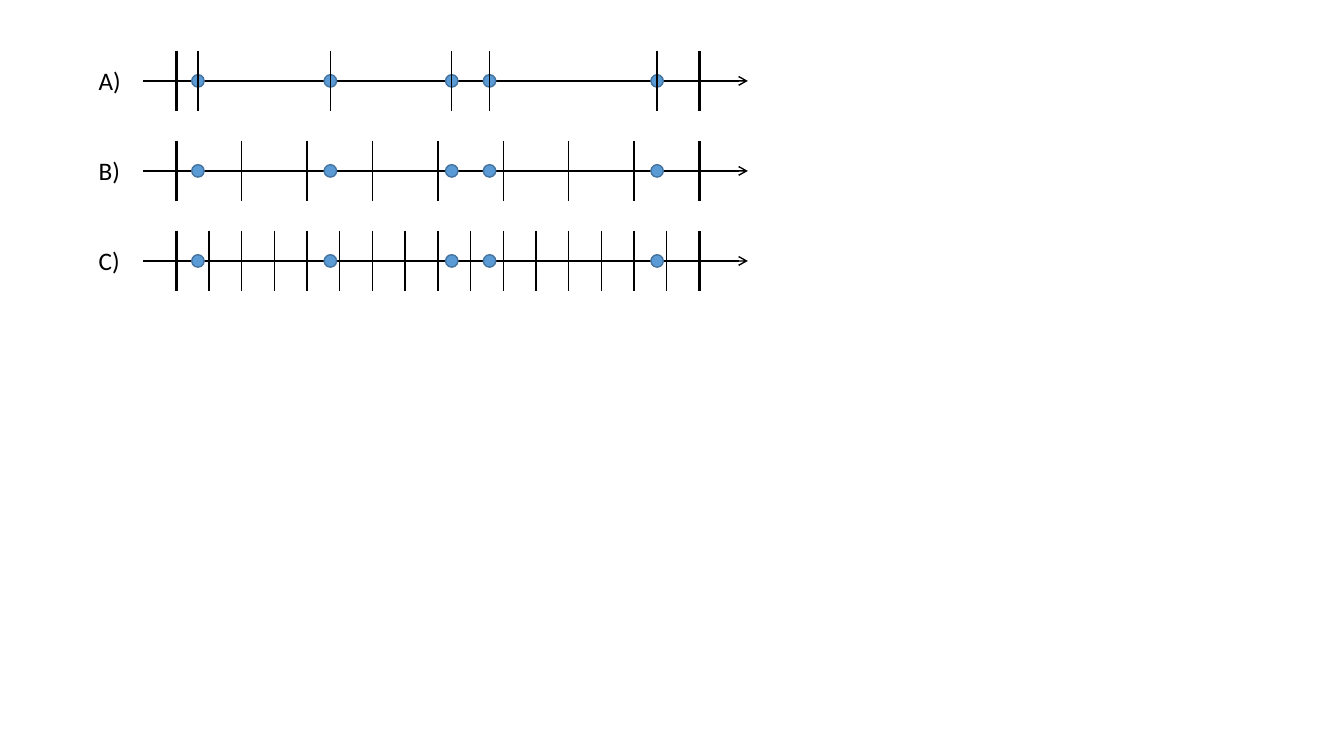
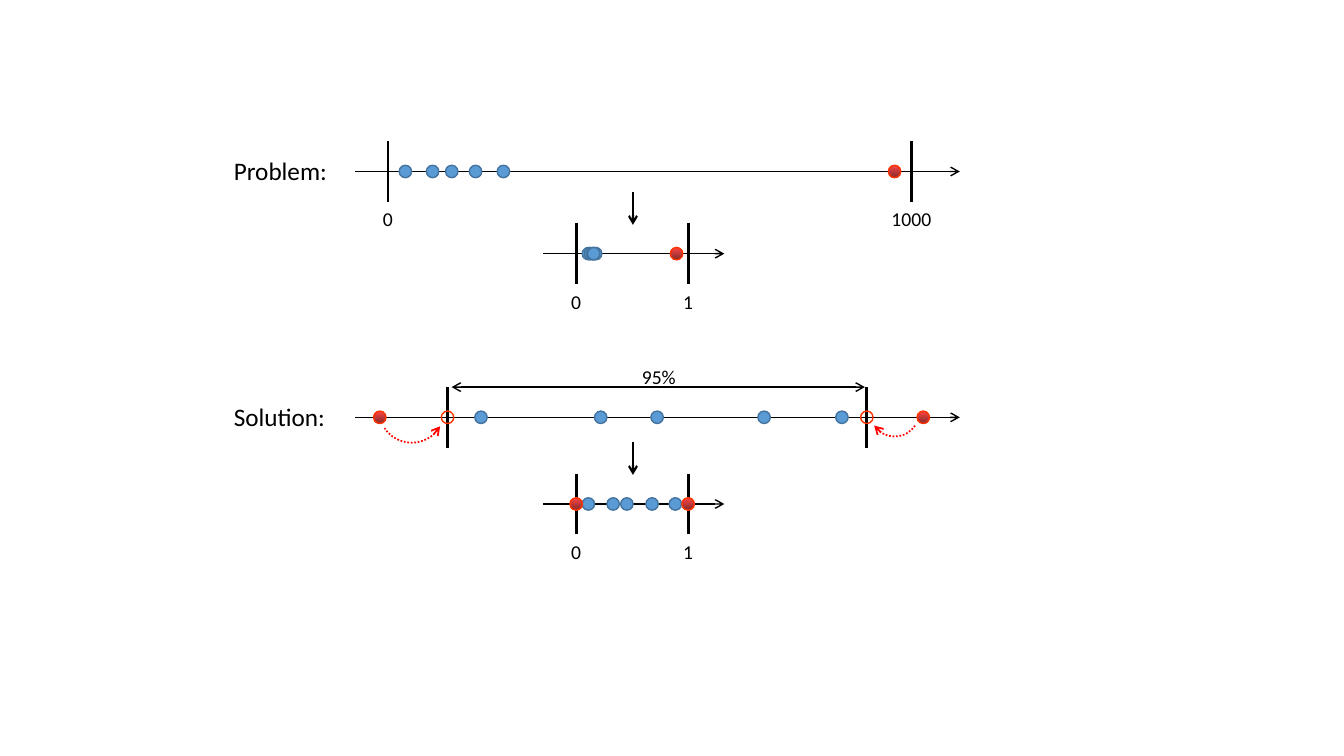
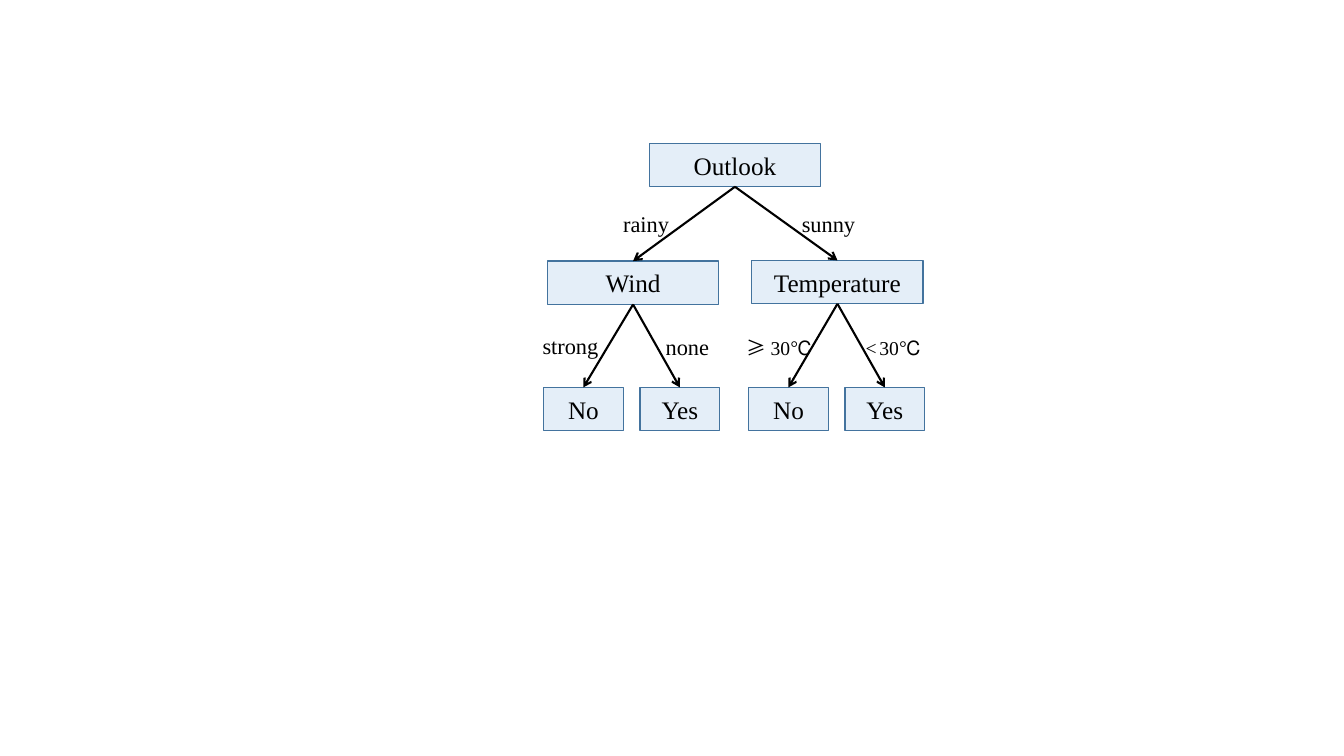
from dataclasses import dataclass
from typing import Optional

from lxml.etree import SubElement
from pptx import Presentation
from pptx.dml.color import RGBColor
from pptx.enum.dml import MSO_LINE
from pptx.enum.shapes import MSO_CONNECTOR, MSO_SHAPE
from pptx.enum.text import MSO_ANCHOR, MSO_AUTO_SIZE, PP_ALIGN
from pptx.oxml.ns import qn
from pptx.shapes.autoshape import Shape
from pptx.shapes.connector import Connector
from pptx.slide import Slide
from pptx.text.text import TextFrame
from pptx.util import Pt

# Shared colours, fonts and measures (all lengths in points)
BLACK = RGBColor(0x00, 0x00, 0x00)
BLUE = RGBColor(0x5B, 0x9B, 0xD5)
BLUE_EDGE = RGBColor(0x43, 0x73, 0x9E)
RED_TOP = RGBColor(0xFE, 0x44, 0x44)
RED_BOTTOM = RGBColor(0x83, 0x2B, 0x2B)
RED_EDGE = RGBColor(0xFF, 0x33, 0x00)
RED = RGBColor(0xFF, 0x00, 0x00)
SANS, SERIF = "Calibri", "Times New Roman"
DOT = 8.9
TICK_HALF = 21.7
NODE_HEIGHT = 31


@dataclass(frozen=True)
class Span:
    text: str
    size: float
    font: str


@dataclass(frozen=True)
class Axis:
    y: float
    start: float
    end: float
    bounds: tuple[float, float]
    dots: tuple[float, ...]
    ticks: tuple[float, ...] = ()
    outliers: tuple[float, ...] = ()
    hollow: tuple[float, ...] = ()
    bound_labels: tuple[str, ...] = ()


@dataclass(frozen=True)
class Arc:
    left: float
    top: float
    size: float
    angles: tuple[float, float]
    arrow: str


@dataclass(frozen=True)
class Node:
    text: str
    centre: float
    top: float
    width: float


@dataclass(frozen=True)
class Branch:
    parent: str
    child: str
    left: float
    top: float
    spans: tuple[Span, ...]


# Text
def write(frame: TextFrame, spans: tuple[Span, ...], align: PP_ALIGN) -> None:
    paragraph = frame.paragraphs[0]
    paragraph.alignment = align
    for span in spans:
        run = paragraph.add_run()
        run.text = span.text
        run.font.size = Pt(span.size)
        run.font.color.rgb = BLACK
        run.font.name = span.font
        SubElement(run.font._element, qn("a:ea")).set("typeface", span.font)


def add_text(page: Slide, left: float, top: float, width: float,
             spans: tuple[Span, ...], align: PP_ALIGN = PP_ALIGN.LEFT) -> None:
    height = 7.2 + 1.2 * max(span.size for span in spans)
    box = page.shapes.add_textbox(Pt(left), Pt(top), Pt(width), Pt(height))
    box.text_frame.word_wrap = True
    box.text_frame.auto_size = MSO_AUTO_SIZE.SHAPE_TO_FIT_TEXT
    write(box.text_frame, spans, align)


# Lines and shapes
def add_arrowheads(shape: Shape | Connector, *ends: str) -> None:
    outline = shape.element.spPr.find(qn("a:ln"))
    for end in ends:
        SubElement(outline, qn(f"a:{end}")).set("type", "arrow")


def add_line(page: Slide, x1: float, y1: float, x2: float, y2: float,
             width: float, *ends: str) -> Connector:
    line = page.shapes.add_connector(
        MSO_CONNECTOR.STRAIGHT, Pt(x1), Pt(y1), Pt(x2), Pt(y2))
    line.line.color.rgb = BLACK
    line.line.width = Pt(width)
    add_arrowheads(line, *ends)
    SubElement(line.element.spPr, qn("a:effectLst"))
    return line


def add_outlined(page: Slide, kind: MSO_SHAPE, left: float, top: float,
                 width: float, height: float, edge: RGBColor,
                 fill: Optional[RGBColor] = None) -> Shape:
    shape = page.shapes.add_shape(kind, Pt(left), Pt(top), Pt(width), Pt(height))
    shape.shadow.inherit = False
    shape.line.color.rgb = edge
    shape.line.width = Pt(1)
    if fill is None:
        shape.fill.background()
    else:
        shape.fill.solid()
        shape.fill.fore_color.rgb = fill
    return shape


def add_dot(page: Slide, x: float, y: float, edge: RGBColor,
            fill: Optional[RGBColor] = None) -> Shape:
    return add_outlined(page, MSO_SHAPE.OVAL, x - DOT / 2, y - DOT / 2,
                        DOT, DOT, edge, fill)


def add_outlier(page: Slide, x: float, y: float) -> None:
    dot = add_dot(page, x, y, RED_EDGE)
    dot.fill.gradient()
    dot.fill.gradient_angle = 270
    for stop, colour in zip(dot.fill.gradient_stops, (RED_TOP, RED_BOTTOM)):
        stop.color.rgb = colour


def add_arc(page: Slide, arc: Arc) -> None:
    shape = add_outlined(page, MSO_SHAPE.ARC, arc.left, arc.top,
                         arc.size, arc.size, RED)
    for index, degrees in enumerate(arc.angles):
        shape.adjustments[index] = degrees * 0.6
    shape.line.width = Pt(1.25)
    shape.line.dash_style = MSO_LINE.ROUND_DOT
    add_arrowheads(shape, arc.arrow)


def add_axis(page: Slide, axis: Axis) -> None:
    add_line(page, axis.start, axis.y, axis.end, axis.y, 1, "tailEnd")
    for x in axis.dots:
        add_dot(page, x, axis.y, BLUE_EDGE, BLUE)
    for positions, width in ((axis.bounds, 2), (axis.ticks, 1)):
        for x in positions:
            add_line(page, x, axis.y - TICK_HALF, x, axis.y + TICK_HALF, width)
    for x in axis.outliers:
        add_outlier(page, x, axis.y)
    for x in axis.hollow:
        add_dot(page, x, axis.y, RED_EDGE)
    for x, label in zip(axis.bounds, axis.bound_labels):
        digits = len(label)
        add_text(page, x - 7.2 - 3.5 * digits, axis.y + 22, 38.5 + 3.5 * digits,
                 (Span(label, 14, SANS),))


def add_row_label(page: Slide, left: float, y: float, width: float, text: str) -> None:
    add_text(page, left, y - 15, width, (Span(text, 18, SANS),))


# Slide 1: three ways of splitting the same points
def build_splits(page: Slide) -> None:
    dots = (141.4, 236, 322.7, 349.7, 469.4)
    first, last = 126, 499.5

    def even_ticks(parts: int) -> tuple[float, ...]:
        return tuple(first + (last - first) * i / parts for i in range(1, parts))

    rows = (("A)", dots), ("B)", even_ticks(8)), ("C)", even_ticks(16)))
    for index, (label, ticks) in enumerate(rows):
        y = 57.8 + 64.3 * index
        add_axis(page, Axis(y, 102.2, 534.2, (first, last), dots, ticks))
        add_row_label(page, 63.4, y, 42, label)


# Slide 2: outliers when scaling to the unit range
LONG = (253.6, 685.6)
SHORT = (388, 517.4)
UNIT = (411.6, 491.6)
SCALING_AXES = (
    Axis(122.5, *LONG, (277.2, 650.9), (289.6, 309, 322.7, 339.7, 359.6),
         outliers=(639,), bound_labels=("0", "1000")),
    Axis(181.2, *SHORT, UNIT, (420.3, 421.9, 425.5, 423.4, 424.1),
         outliers=(483.3,), bound_labels=("0", "1")),
    Axis(298.1, *LONG, (319.7, 619.2), (343.6, 429.1, 469.4, 545.8, 601.4),
         outliers=(659.5, 271.3), hollow=(319.7, 619.2)),
    Axis(360, *SHORT, UNIT, (420.3, 438, 447.8, 465.8, 482.4),
         outliers=UNIT, bound_labels=("0", "1")),
)
CLIPPING_ARCS = (
    Arc(270.7, 269.4, 46.8, (30.04, 146), "headEnd"),
    Arc(621.4, 276.5, 35.3, (34.14, 146), "tailEnd"),
)


def build_scaling(page: Slide) -> None:
    for axis in SCALING_AXES:
        add_axis(page, axis)
    problem, _, solution, _ = SCALING_AXES
    for label, axis in (("Problem:", problem), ("Solution:", solution)):
        add_row_label(page, 160, axis.y, 103, label)
    for top in (136.8, 315.4):
        add_line(page, 452.1, top, 452.1, top + 23.8, 1.5, "tailEnd")

    # Kept range and clipped outliers
    add_line(page, 322.6, 276.5, 617.8, 276.5, 1, "headEnd", "tailEnd")
    add_text(page, 451.4, 257.2, 42, (Span("95%", 14, SANS),))
    for arc in CLIPPING_ARCS:
        add_arc(page, arc)


# Slide 3: decision tree
WIDE, NARROW = 122.5, 57
TREE_NODES = {
    "outlook": Node("Outlook", 525, 102.4, WIDE),
    "wind": Node("Wind", 452.2, 186.5, WIDE),
    "temperature": Node("Temperature", 598.2, 186, WIDE),
    "wind strong": Node("No", 416.7, 276.7, NARROW),
    "wind none": Node("Yes", 485.6, 276.7, NARROW),
    "hot": Node("No", 563.2, 276.7, NARROW),
    "mild": Node("Yes", 632, 276.7, NARROW),
}
TREE_BRANCHES = (
    Branch("outlook", "wind", 427, 146.9, (Span("rainy", 16, SERIF),)),
    Branch("outlook", "temperature", 557.3, 146.9, (Span("sunny", 16, SERIF),)),
    Branch("wind", "wind strong", 373, 233.6, (Span("strong", 16, SERIF),)),
    Branch("wind", "wind none", 456.5, 234.5, (Span("none", 16, SERIF),)),
    Branch("temperature", "hot", 522.7, 236.2,
           (Span("≥ ", 14, "Noto Sans CJK SC"), Span("30", 14, SERIF),
            Span("℃", 14, "Arial"))),
    Branch("temperature", "mild", 604, 236.2,
           (Span("<", 14, SERIF), Span(" ", 8, SERIF), Span("30", 14, SERIF),
            Span("℃", 14, "Arial"))),
)


def add_node(page: Slide, node: Node) -> Shape:
    box = add_outlined(page, MSO_SHAPE.RECTANGLE, node.centre - node.width / 2,
                       node.top, node.width, NODE_HEIGHT, BLUE_EDGE, BLUE)
    colour = box.element.spPr.find(f"{qn('a:solidFill')}/{qn('a:srgbClr')}")
    SubElement(colour, qn("a:alpha")).set("val", "16000")
    box.text_frame.vertical_anchor = MSO_ANCHOR.MIDDLE
    write(box.text_frame, (Span(node.text, 18, SERIF),), PP_ALIGN.CENTER)
    return box


def build_tree(page: Slide) -> None:
    boxes = {key: add_node(page, node) for key, node in TREE_NODES.items()}
    for branch in TREE_BRANCHES:
        parent, child = TREE_NODES[branch.parent], TREE_NODES[branch.child]
        arrow = add_line(page, parent.centre, parent.top + NODE_HEIGHT,
                         child.centre, child.top, 1.5, "tailEnd")
        arrow.begin_connect(boxes[branch.parent], 2)
        arrow.end_connect(boxes[branch.child], 0)
        add_text(page, branch.left, branch.top, 69, branch.spans, PP_ALIGN.CENTER)


def main() -> None:
    deck = Presentation()
    deck.slide_width, deck.slide_height = Pt(960), Pt(540)
    blank = deck.slide_layouts[6]
    for build in (build_splits, build_scaling, build_tree):
        build(deck.slides.add_slide(blank))
    deck.save("out.pptx")


if __name__ == "__main__":
    main()
